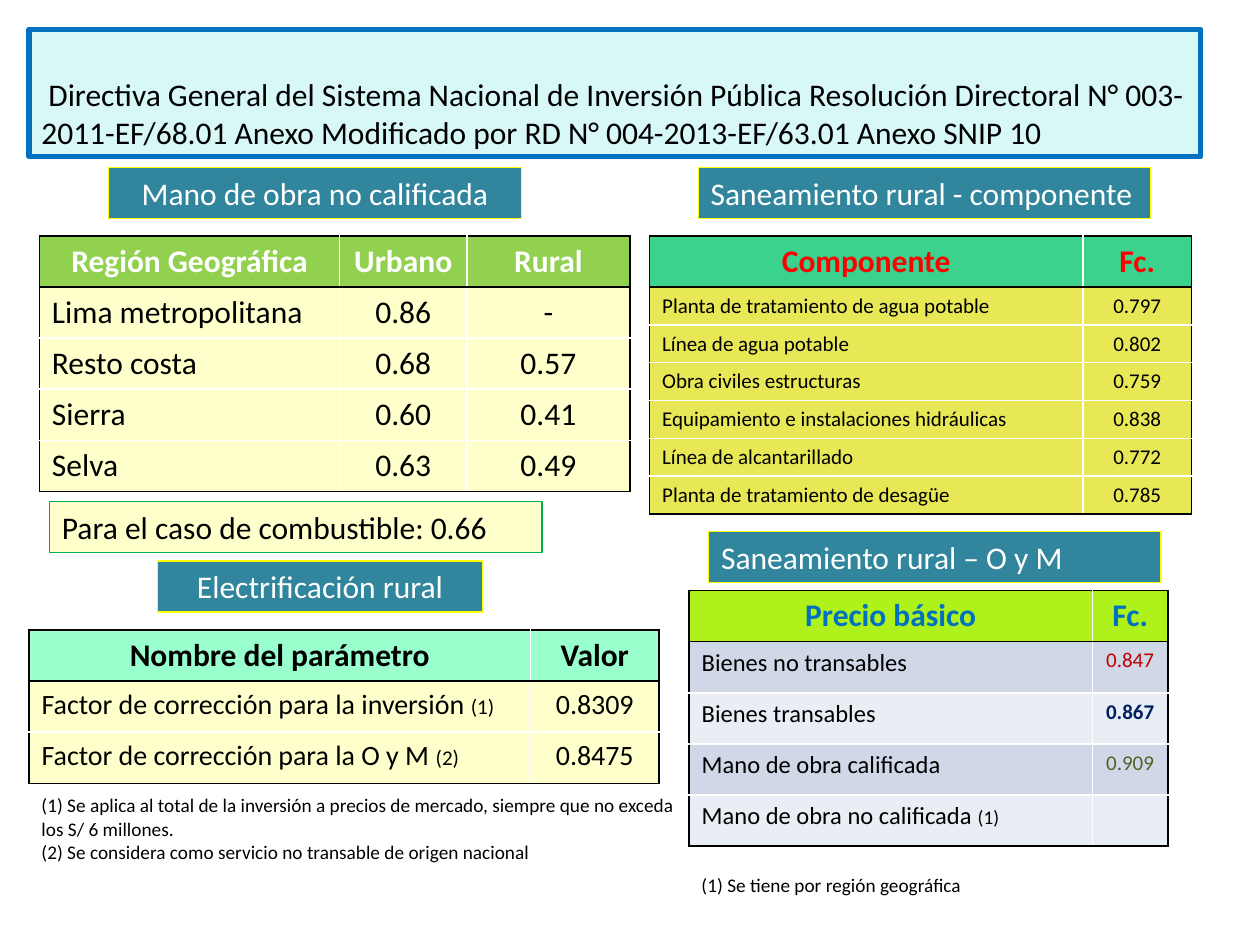
from lxml.etree import SubElement
from pptx import Presentation
from pptx.dml.color import RGBColor
from pptx.enum.shapes import MSO_SHAPE as SHAPE
from pptx.enum.text import MSO_ANCHOR as ANCHOR, PP_ALIGN as ALIGN
from pptx.oxml.ns import qn
from pptx.util import Pt


def rgb(value):
    return RGBColor.from_string(value)


class Deck:
    """Holds the style and the current slide and draws each kind of element."""

    font = {"name": "Calibri", "size": 18, "bold": False, "color": "000000"}
    label_h, row_h = 29.1, 29.2
    black, white = "000000", "FFFFFF"

    def __init__(self, width, height):
        self.prs = Presentation()
        self.prs.slide_width, self.prs.slide_height = Pt(width), Pt(height)
        self.s = self.prs.slides.add_slide(self.prs.slide_layouts[6])

    def add_text(self, tf, paragraphs, align=ALIGN.LEFT, **style):
        tf.word_wrap = True
        for i, runs in enumerate(paragraphs):
            p = tf.add_paragraph() if i else tf.paragraphs[0]
            p.alignment = align
            for run in [runs] if isinstance(runs, str) else runs:
                text, extra = (run, {}) if isinstance(run, str) else run
                r = p.add_run()
                r.text = text
                for key, value in {**self.font, **style, **extra}.items():
                    if key == "color":
                        r.font.color.rgb = rgb(value)
                    else:
                        setattr(r.font, key, Pt(value) if key == "size" else value)

    def box(self, at, text, fill, line, width=0.75, align=ALIGN.LEFT, **style):
        sp = self.s.shapes.add_shape(SHAPE.RECTANGLE, *map(Pt, at))
        sp.shadow.inherit = False
        sp.fill.solid()
        sp.fill.fore_color.rgb = rgb(fill)
        sp.line.color.rgb = rgb(line)
        sp.line.width = Pt(width)
        sp.text_frame.vertical_anchor = ANCHOR.TOP
        self.add_text(sp.text_frame, [text], align, **style)
        return sp

    def label(self, x, y, width, text, align=ALIGN.LEFT):
        self.box((x, y, width, self.label_h), text, "31859C", "FFFF00",
                 align=align, color=self.white)

    def note(self, at, *paragraphs):
        tf = self.s.shapes.add_textbox(*map(Pt, at)).text_frame
        self.add_text(tf, paragraphs, size=11)

    def borders(self, cell, colors):
        pr = cell._tc.get_or_add_tcPr()
        for i, (side, color) in enumerate(colors.items()):
            ln = pr.makeelement(qn(f"a:ln{side}"), {"w": str(Pt(1))})
            fill = SubElement(ln, qn("a:solidFill"))
            SubElement(fill, qn("a:srgbClr"), val=color)
            pr.insert(i, ln)

    def table(self, x, y, widths, header, rows, head_fill, fills,
              head_color="000000", size=18, row_h=row_h):
        data = [header, *rows]
        heights = [self.row_h] + [row_h] * len(rows)
        area = (x, y, sum(widths), sum(heights))
        table = self.s.shapes.add_table(len(data), len(widths), *map(Pt, area)).table
        for col, width in zip(table.columns, widths):
            col.width = Pt(width)
        for row, height in zip(table.rows, heights):
            row.height = Pt(height)
        last_i, last_j = len(data) - 1, len(widths) - 1
        for i, row in enumerate(data):
            for j, text in enumerate(row):
                cell = table.cell(i, j)
                cell.fill.solid()
                cell.fill.fore_color.rgb = rgb(fills[(i - 1) % len(fills)] if i else head_fill)
                edges = {"L": j == 0, "R": j == last_j, "T": i < 2, "B": i in (0, last_i)}
                self.borders(cell, {side: self.black if edge else self.white
                                    for side, edge in edges.items()})
                style = {"size": size} if i else {"bold": True, "color": head_color}
                align = ALIGN.CENTER if j or not i else ALIGN.LEFT
                if text:
                    self.add_text(cell.text_frame, [text], align, **style)


def main():
    deck = Deck(720, 540)
    cream = "FFFFCC"

    title = deck.box(
        (16.6, 16.8, 669.6, 72.7),
        "Directiva General del Sistema Nacional de Inversión Pública Resolución Directoral "
        "N° 003-2011-EF/68.01 Anexo Modificado por RD N° 004-2013-EF/63.01 Anexo SNIP 10",
        "D8F8F8", "0070C0", 3)
    title.text_frame.vertical_anchor = ANCHOR.BOTTOM
    title.text_frame.paragraphs[0]._p.get_or_add_pPr().set("indent", str(Pt(4)))

    deck.label(61.9, 95.8, 236.2, "Mano de obra no calificada", ALIGN.CENTER)
    deck.table(22.5, 134.8, [171.6, 72.7, 93.2], ["Región Geográfica", "Urbano", "Rural"],
               [["Lima metropolitana", "0.86", "-"],
                ["Resto costa", "0.68", "0.57"],
                ["Sierra", "0.60", "0.41"],
                ["Selva", "0.63", "0.49"]],
               "92D050", [cream], head_color="FFFFFF")
    deck.box((28.3, 286.6, 281.5, deck.label_h), "Para el caso de combustible: 0.66",
             cream, "00B050")

    deck.label(90, 320.6, 185.8, "Electrificación rural", ALIGN.CENTER)
    deck.table(16.6, 360, [286.6, 73.4], ["Nombre del parámetro", "Valor"],
               [[["Factor de corrección para la inversión ", ("(1)", {"size": 12})], "0.8309"],
                [["Factor de corrección para la O y M ", ("(2)", {"size": 12})], "0.8475"]],
               "99FFCC", [cream], size=16)
    deck.note((16.6, 450, 382.3, 47.5),
              "(1) Se aplica al total de la inversión a precios de mercado, "
              "siempre que no exceda los S/ 6 millones.",
              "(2) Se considera como servicio no transable de origen nacional")

    deck.label(399, 95.8, 258.5, "Saneamiento rural - componente")
    deck.table(371.2, 134.8, [247.7, 61.9], ["Componente", "Fc."],
               [["Planta de tratamiento de agua potable", "0.797"],
                ["Línea de agua potable", "0.802"],
                ["Obra civiles estructuras", "0.759"],
                ["Equipamiento e instalaciones hidráulicas", "0.838"],
                ["Línea de alcantarillado", "0.772"],
                ["Planta de tratamiento de desagüe", "0.785"]],
               "3AD28D", ["E8E856"], head_color="FF0000", size=12, row_h=21.6)

    deck.label(405, 303.9, 258.5, "Saneamiento rural – O y M")
    deck.table(393.8, 337.5, [230.4, 43.2], ["Precio básico", "Fc."],
               [["Bienes no transables", [("0.847", {"size": 12, "color": "C00000"})]],
                ["Bienes transables", [("0.867", {"size": 12, "color": "002060", "bold": True})]],
                ["Mano de obra calificada", [("0.909", {"size": 12, "color": "4F6228"})]],
                [["Mano de obra no calificada ", ("(1)", {"size": 11})], ""]],
               "AFF11B", ["D0D8E8", "E9EDF4"], head_color="0070C0", size=14)
    deck.note((393.8, 495.4, 196.6, 20.9), "(1) Se tiene por región geográfica")

    deck.prs.save("out.pptx")


if __name__ == "__main__":
    main()
